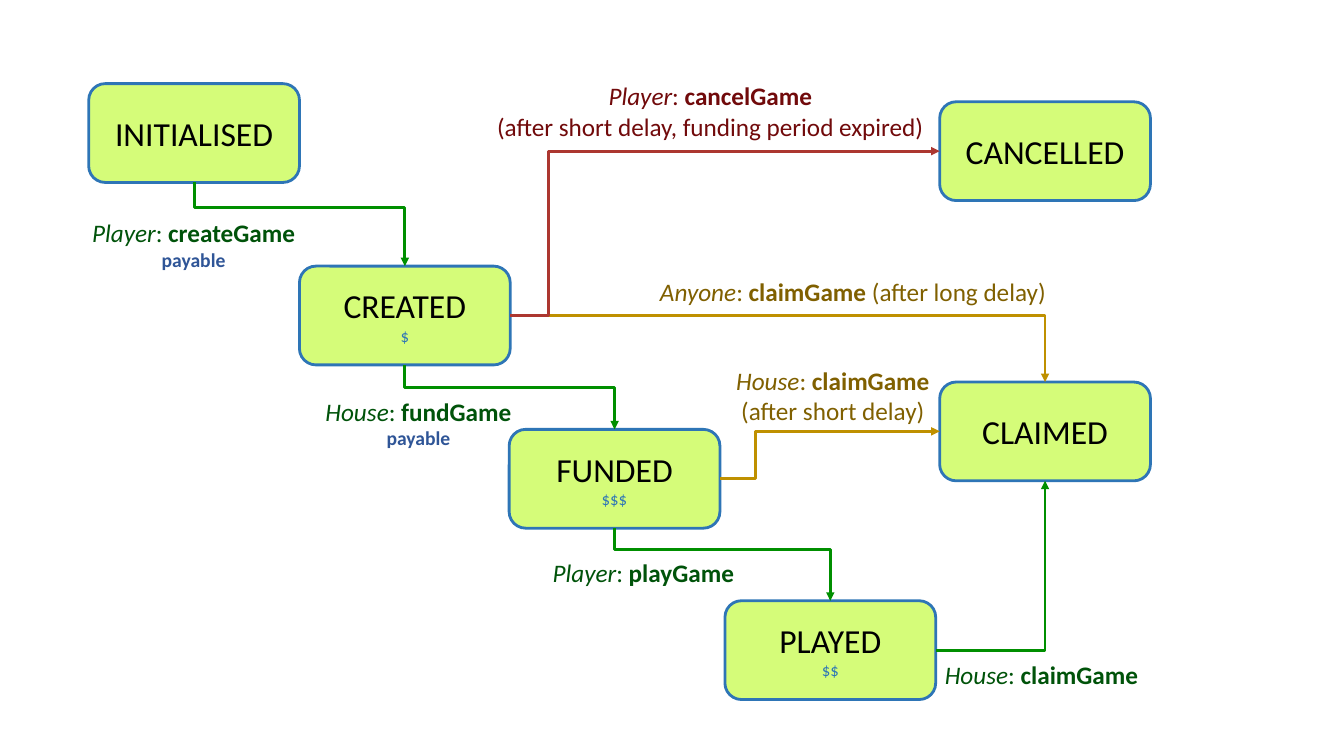
"""Draw the state diagram of a wagering game contract."""
from lxml import etree
from pptx import Presentation
from pptx.dml.color import RGBColor
from pptx.enum.shapes import MSO_CONNECTOR, MSO_SHAPE
from pptx.enum.text import MSO_ANCHOR, PP_ALIGN
from pptx.oxml.ns import qn
from pptx.util import Inches, Pt

ROUND = MSO_SHAPE.ROUNDED_RECTANGLE
ELBOW = MSO_CONNECTOR.ELBOW
MIDDLE = MSO_ANCHOR.MIDDLE
CENTER = PP_ALIGN.CENTER
TOP, LEFT, BOTTOM, RIGHT = range(4)

THEME = {
    "font": "Calibri", "state": 24, "label": 18, "note": 14, "coin": 12, "line": 2,
    "fill": "D5FC79", "edge": "2E75B6", "ink": "000000", "pay": "2F5597",
    "go": ("008F00", "00530A"), "claim": ("BF9000", "806000"), "stop": ("AC3730", "710A0B"),
}
BOX = (2.09, 0.98)

STATES = {
    "INITIALISED": (0.88, 0.83, ""),
    "CREATED": (2.97, 2.64, "$"),
    "CANCELLED": (9.32, 1.01, ""),
    "FUNDED": (5.05, 4.26, "$$$"),
    "PLAYED": (7.19, 5.96, "$$"),
    "CLAIMED": (9.32, 3.79, ""),
}

MOVES = [
    ("INITIALISED", BOTTOM, "CREATED", TOP, 0.304, "go"),
    ("FUNDED", BOTTOM, "PLAYED", TOP, 0.295, "go"),
    ("CREATED", BOTTOM, "FUNDED", TOP, 0.347, "go"),
    ("PLAYED", RIGHT, "CLAIMED", BOTTOM, None, "go"),
    ("CREATED", RIGHT, "CLAIMED", TOP, None, "claim"),
    ("FUNDED", RIGHT, "CLAIMED", LEFT, 0.162, "claim"),
    ("CREATED", RIGHT, "CANCELLED", LEFT, 0.089, "stop"),
]

LABELS = [
    ((0.76, 2.11, 2.32, 0.64), "go", "Player", "createGame", "", "payable"),
    ((4.77, 0.75, 4.55, 0.71), "stop", "Player", "cancelGame",
     "\v(after short delay, funding period expired)", ""),
    ((2.99, 3.88, 2.32, 0.64), "go", "House", "fundGame", "", "payable"),
    ((5.22, 5.48, 2.32, 0.4), "go", "Player", "playGame", "", ""),
    ((9.25, 6.49, 2.16, 0.4), "go", "House", "claimGame", "", ""),
    ((7.12, 3.57, 2.28, 0.71), "claim", "House", "claimGame", " (after short delay)", ""),
    ((6.38, 2.69, 4.16, 0.4), "claim", "Anyone", "claimGame", " (after long delay)", ""),
]


def rgb(code):
    return RGBColor.from_string(code)


def add_run(para, text, size, color, bold=False, italic=False):
    para.alignment = CENTER
    if text.startswith("\v"):
        para.add_line_break()
        text = text[1:]
    run = para.add_run()
    run.text = text
    font = run.font
    font.name, font.size, font.color.rgb = THEME["font"], Pt(THEME[size]), rgb(color)
    font.bold, font.italic = bold, italic


def add_state(slide, name, left, top, coins):
    box = slide.shapes.add_shape(ROUND, *map(Inches, (left, top, *BOX)))
    box.shadow.inherit = False
    box.fill.solid()
    box.fill.fore_color.rgb = rgb(THEME["fill"])
    box.line.color.rgb = rgb(THEME["edge"])
    box.line.width = Pt(THEME["line"])
    frame = box.text_frame
    frame.word_wrap = True
    frame.vertical_anchor = MIDDLE
    add_run(frame.paragraphs[0], name, "state", THEME["ink"])
    if coins:
        add_run(frame.add_paragraph(), coins, "coin", THEME["edge"])
    return box


def add_move(slide, start, exit, end, entry, bend, tone):
    link = slide.shapes.add_connector(ELBOW, 0, 0, 0, 0)
    link.begin_connect(start, exit)
    link.end_connect(end, entry)
    link.line.color.rgb = rgb(THEME[tone][0])
    link.line.width = Pt(THEME["line"])
    props = link._element.spPr
    etree.SubElement(props.find(qn("a:ln")), qn("a:tailEnd"), type="triangle")
    etree.SubElement(props, qn("a:effectLst"))
    geom = props.find(qn("a:prstGeom"))
    if bend is None:
        geom.set("prst", "bentConnector2")
    else:
        guides = geom.find(qn("a:avLst"))
        if guides is None:
            guides = etree.SubElement(geom, qn("a:avLst"))
        etree.SubElement(guides, qn("a:gd"), name="adj1", fmla=f"val {round(bend * 100000)}")
    if exit == BOTTOM:
        wide, high = link.width, link.height
        link.left += (wide - high) // 2
        link.top += (high - wide) // 2
        link.width, link.height = high, wide
        frame = props.find(qn("a:xfrm"))
        frame.set("rot", "16200000")
        frame.set("flipH", "1")


def add_label(slide, place, tone, actor, call, rest, note):
    frame = slide.shapes.add_textbox(*map(Inches, place)).text_frame
    frame.word_wrap = True
    para = frame.paragraphs[0]
    ink = THEME[tone][1]
    add_run(para, actor, "label", ink, italic=True)
    add_run(para, ": ", "label", ink)
    add_run(para, call, "label", ink, bold=True)
    if rest:
        add_run(para, rest, "label", ink)
    if note:
        add_run(frame.add_paragraph(), note, "note", THEME["pay"], bold=True)


def main():
    deck = Presentation()
    deck.slide_width, deck.slide_height = Inches(13.33), Inches(7.5)
    slide = deck.slides.add_slide(deck.slide_layouts[6])
    boxes = {name: add_state(slide, name, *rest) for name, rest in STATES.items()}
    for start, exit, end, entry, bend, tone in MOVES:
        add_move(slide, boxes[start], exit, boxes[end], entry, bend, tone)
    for label in LABELS:
        add_label(slide, *label)
    deck.save("out.pptx")


if __name__ == "__main__":
    main()
